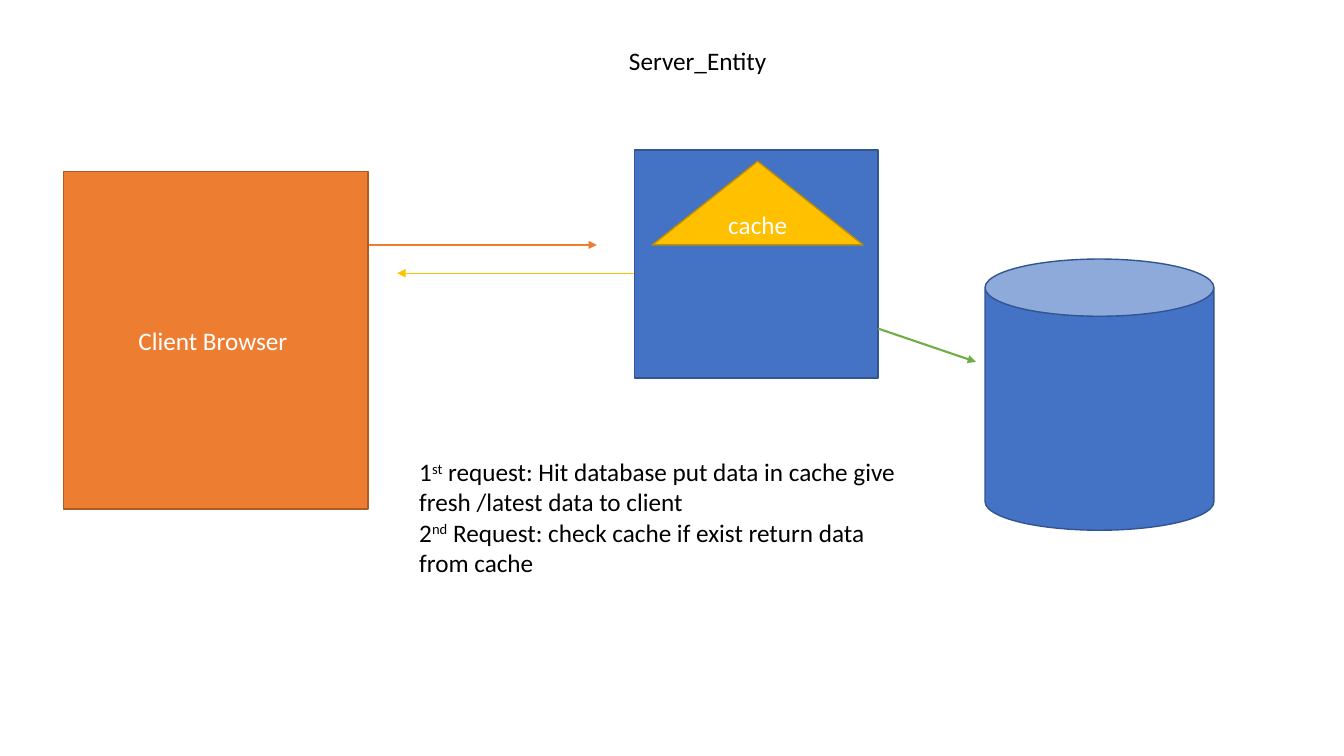
from lxml import etree
from pptx import Presentation
from pptx.dml.color import RGBColor
from pptx.enum import shapes, text
from pptx.oxml.ns import qn
from pptx.util import Inches, Pt

COLORS = {
    "blue": "4472C4", "blue_edge": "325491",
    "gold": "FFC000", "gold_edge": "BD8E00",
    "orange": "ED7D31", "orange_edge": "AF5C24",
    "green": "70AD47", "white": "FFFFFF", "black": "000000",
}
FONT, SIZE = "Calibri", 18
KIND = shapes.MSO_SHAPE

# preset, (left, top, width, height), colour, label
NODES = [
    (KIND.CAN, (9.77, 2.57, 2.27, 2.69), "blue", ""),
    (KIND.RECTANGLE, (6.29, 1.49, 2.42, 2.26), "blue", ""),
    (KIND.ISOSCELES_TRIANGLE, (6.47, 1.6, 2.09, 0.83), "gold", "cache"),
    (KIND.RECTANGLE, (0.63, 1.7, 3.02, 3.35), "orange", "Client Browser "),
]
# start, end, colour, width
ARROWS = [
    ((3.66, 2.43), (5.92, 2.43), "orange", 1.5),
    ((8.71, 3.26), (9.68, 3.59), "green", 1.5),
    ((6.29, 2.71), (3.94, 2.71), "gold", 0.5),
]
# box, paragraphs of (text, superscript) runs
NOTES = [
    ((6.14, 0.4, 3.3, 0.4), [[("Server_Entity", False)]]),
    ((4.06, 4.48, 5.04, 1.62), [
        [("1", False), ("st", True),
         (" request: Hit database put data in cache give fresh /latest data to client", False)],
        [("2", False), ("nd", True),
         (" Request: check cache if exist return data from cache", False)],
    ]),
]


def rgb(name):
    return RGBColor.from_string(COLORS[name])


def style_font(font, color):
    font.name, font.size = FONT, Pt(SIZE)
    font.color.rgb = rgb(color)


def add_node(s, preset, box, color, label):
    sp = s.shapes.add_shape(preset, *map(Inches, box))
    sp.shadow.inherit = False
    sp.fill.solid()
    sp.fill.fore_color.rgb = rgb(color)
    sp.line.color.rgb = rgb(color + "_edge")
    sp.line.width = Pt(1)
    if label:
        tf = sp.text_frame
        tf.text = label
        tf.vertical_anchor = text.MSO_ANCHOR.MIDDLE
        p = tf.paragraphs[0]
        p.alignment = text.PP_ALIGN.CENTER
        style_font(p.runs[0].font, "white")


def add_arrow(s, start, end, color, width):
    c = s.shapes.add_connector(shapes.MSO_CONNECTOR.STRAIGHT, *map(Inches, start + end))
    c.line.color.rgb = rgb(color)
    c.line.width = Pt(width)
    etree.SubElement(c.line._get_or_add_ln(), qn("a:tailEnd"), type="triangle")
    etree.SubElement(c._element.spPr, qn("a:effectLst"))


def add_note(s, box, paragraphs):
    tf = s.shapes.add_textbox(*map(Inches, box)).text_frame
    tf.word_wrap = True
    tf.auto_size = text.MSO_AUTO_SIZE.SHAPE_TO_FIT_TEXT
    for i, runs in enumerate(paragraphs):
        p = tf.add_paragraph() if i else tf.paragraphs[0]
        for words, superscript in runs:
            r = p.add_run()
            r.text = words
            style_font(r.font, "black")
            if superscript:
                r._r.get_or_add_rPr().set("baseline", "30000")


def main():
    prs = Presentation()
    prs.slide_width, prs.slide_height = Inches(13.33), Inches(7.5)
    s = prs.slides.add_slide(prs.slide_layouts[6])
    for node in NODES:
        add_node(s, *node)
    for arrow in ARROWS:
        add_arrow(s, *arrow)
    for note in NOTES:
        add_note(s, *note)
    prs.save("out.pptx")


if __name__ == "__main__":
    main()
